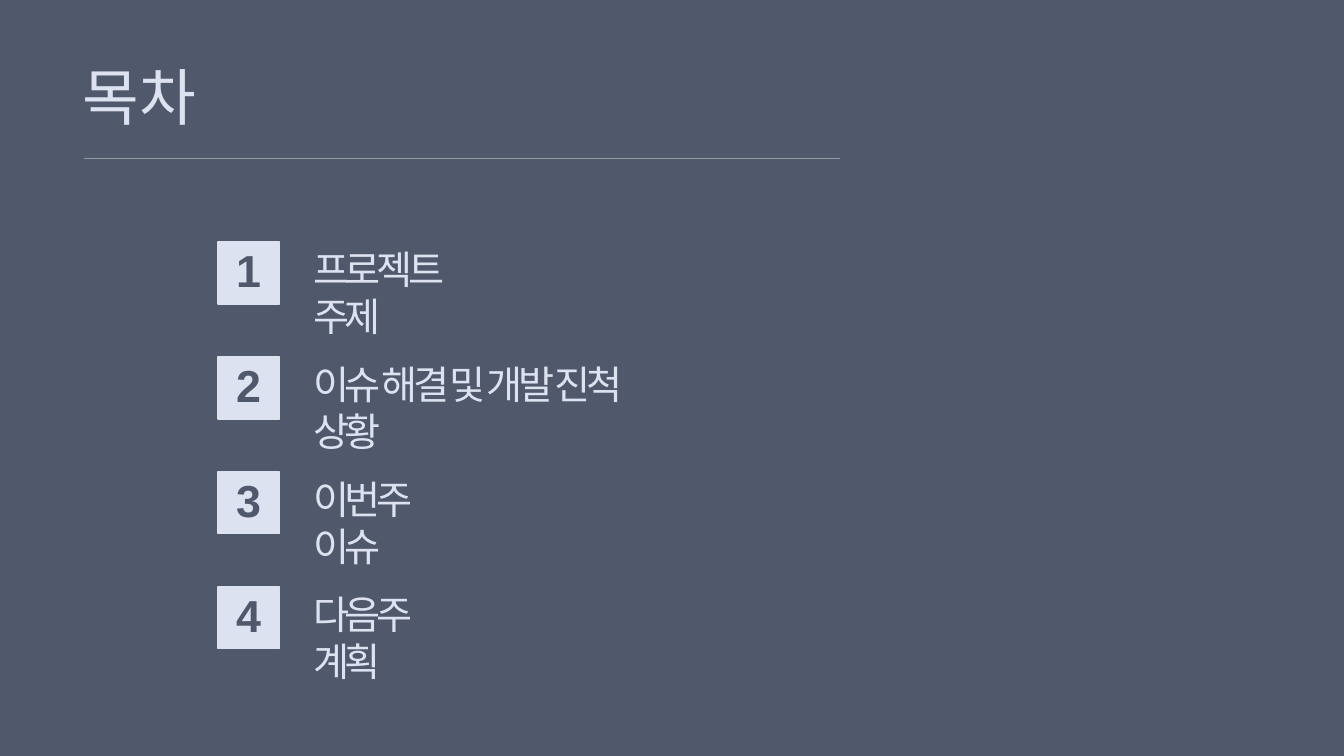
import pptx
import pptx.util
import pptx.dml.color
import pptx.enum.shapes
import pptx.enum.text
import pptx.oxml
import pptx.oxml.ns

Inches = pptx.util.Inches
Pt = pptx.util.Pt


def tint(code):
    return pptx.dml.color.RGBColor.from_string(code)


class Deck:
    dark = "50586C"
    light = "DCE2F0"
    rule = "9599A3"
    hangul = "Noto Sans CJK KR"
    latin = "Arial"

    def __init__(self, show):
        self.slide = show.slides.add_slide(show.slide_layouts[6])
        self.shapes = self.slide.shapes

    def box(self, x, y, w, h, fill, edge=None, home=None):
        kind = pptx.enum.shapes.MSO_SHAPE.RECTANGLE
        shape = (home or self.shapes).add_shape(
            kind, Inches(x), Inches(y), Inches(w), Inches(h))
        shape.shadow.inherit = False
        shape.fill.solid()
        shape.fill.fore_color.rgb = tint(fill)
        if edge:
            shape.line.color.rgb = tint(edge)
            shape.line.width = Pt(2)
        else:
            shape.line.fill.background()

    def line(self, x, y, end):
        kind = pptx.enum.shapes.MSO_CONNECTOR.STRAIGHT
        line = self.shapes.add_connector(
            kind, Inches(x), Inches(y), Inches(end), Inches(y))
        line.line.color.rgb = tint(self.rule)
        line.line.width = Pt(0.75)
        props = line._element.spPr
        props.append(pptx.oxml.parse_xml(
            f'<a:effectLst {pptx.oxml.ns.nsdecls("a")}/>'))

    def text(self, x, y, w, h, words, size, color, home=None):
        label = (home or self.shapes).add_textbox(
            Inches(x), Inches(y), Inches(w), Inches(h))
        frame = label.text_frame
        frame.word_wrap = True
        para = frame.paragraphs[0]
        para.text = words
        para.font.size = Pt(size)
        para.font.color.rgb = tint(color)
        return para

    def korean(self, x, y, w, h, words, size, home=None, gap=0):
        para = self.text(x, y, w, h, words, size, self.light, home)
        para.line_spacing = Pt(size * 1.2)
        para.font.name = self.hangul
        props = para._p.pPr.defRPr
        props.set("spc", str(gap))
        props.append(pptx.oxml.parse_xml(
            f'<a:ea {pptx.oxml.ns.nsdecls("a")} typeface="{self.hangul}"/>'))

    def digit(self, x, y, words, home):
        para = self.text(x, y, 0.58, 0.91, words, 48, self.dark, home)
        para.alignment = pptx.enum.text.PP_ALIGN.CENTER
        para.font.name = self.latin
        para.font.bold = True

    def item(self, y, rank, words, width):
        home = self.shapes.add_group_shape().shapes
        self.box(3.24, y, 0.92, 0.92, self.light, self.light, home)
        self.digit(3.41, y - 0.04, str(rank), home)
        self.korean(4.56, y, width, 0.81, words, 42, home, -450)


def main():
    show = pptx.Presentation()
    show.slide_width = Inches(20)
    show.slide_height = Inches(11.25)
    deck = Deck(show)
    deck.box(0, 0, 20, 11.25, deck.dark)
    deck.line(1.25, 2.35, 12.5)
    deck.korean(1.13, 0.82, 2.2, 1.21, "목차", 66)
    topics = [
        ("프로젝트 주제", 3),
        ("이슈 해결 및 개발 진척 상황", 5.7),
        ("이번주 이슈", 2.5),
        ("다음주 계획", 2.5),
    ]
    for rank, (words, width) in enumerate(topics):
        deck.item(3.6 + 1.71 * rank, rank + 1, words, width)
    show.save("out.pptx")


if __name__ == "__main__":
    main()
